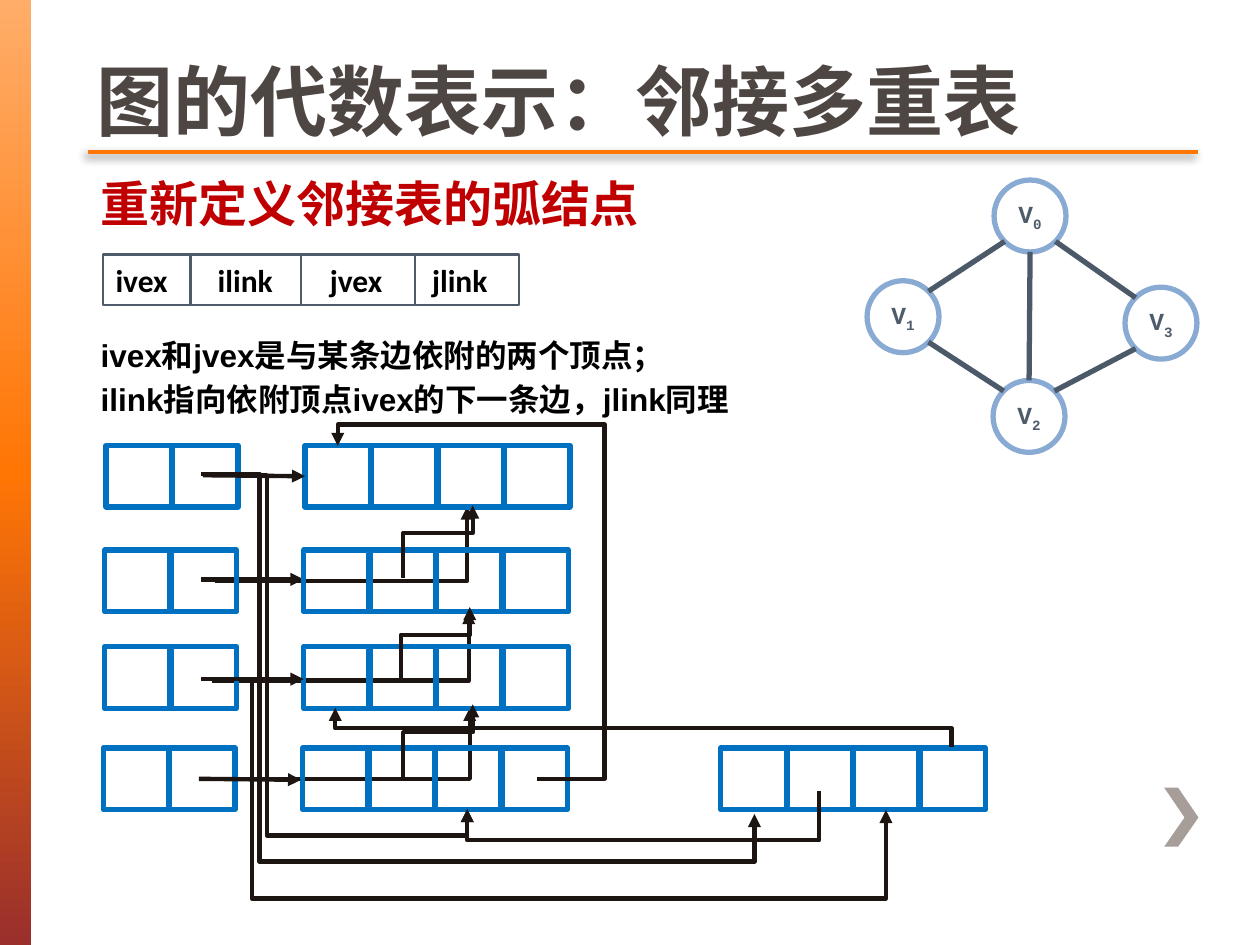
import copy
import math

import pptx
import pptx.dml.color
import pptx.enum.shapes
import pptx.enum.text
import pptx.oxml
import pptx.oxml.ns
import pptx.util

Cm, Pt = pptx.util.Cm, pptx.util.Pt
Kind = pptx.enum.shapes.MSO_SHAPE
Anchor = pptx.enum.text.MSO_ANCHOR
qn = pptx.oxml.ns.qn
CJK = "Noto Sans CJK SC"
SLATE, BLUE, INK, ORANGE = "4D5B6B", "0070C0", "1C1511", "FF7605"

# Content; every length is in centimetres
TITLE = "图的代数表示：邻接多重表"
HEADING = "重新定义邻接表的弧结点"
NOTES = ["ivex和jvex是与某条边依附的两个顶点；",
         "ilink指向依附顶点ivex的下一条边，jlink同理"]
FIELDS = ["ivex", "ilink", "jvex", "jlink"]
FIELD_TABS = [2.06, 4.32, 6.38]
FIELD_DIVIDERS = [3.84, 6.07, 8.36]
SIDE_GRADIENT = [(0, "FFAD69"), (0.5, ORANGE), (1, "9A2F2C")]

VERTEX_SIZE = 1.45
VERTICES = {"0": (20.04, 3.63), "1": (17.48, 5.66),
            "3": (22.68, 5.79), "2": (20.02, 7.67)}
EDGES = [("0", "2"), ("0", "1"), ("0", "3"), ("2", "1"), ("3", "2")]

CELL_WIDTH, CELL_HEIGHT, CELL_STEP = 1.32, 1.24, 1.34
CELL_RUNS = [  # left, top, number of cells
    (2.14, 8.98, 2), (6.15, 8.98, 4),
    (2.11, 11.09, 2), (6.12, 11.09, 4),
    (2.11, 13.04, 2), (6.12, 13.04, 4),
    (2.08, 15.08, 2), (6.1, 15.08, 4), (14.53, 15.08, 4)]

ROUTES_BEHIND = [
    [(4.27, 15.7), (9.47, 15.7), (9.47, 14.27)],
    [(4.27, 13.72), (9.45, 13.72), (9.45, 12.32)],
    [(4.34, 11.71), (9.42, 11.71), (9.42, 10.21)],
    [(4.06, 11.68), (6.12, 11.68)]]
ROUTES_FRONT = [
    [(4.09, 9.58), (6.15, 9.6)],
    [(4.06, 13.69), (6.12, 13.69)],
    [(4.01, 15.7), (6.07, 15.72)],
    [(10.82, 15.7), (12.19, 15.7), (12.19, 8.56), (6.81, 8.56), (6.81, 8.99)],
    [(8.08, 13.72), (8.08, 12.8), (9.47, 12.8), (9.47, 12.24)],
    [(8.13, 11.66), (8.13, 10.74), (9.53, 10.74), (9.53, 10.19)],
    [(8.13, 15.67), (8.13, 14.76), (9.53, 14.76), (9.53, 14.2)],
    [(4.27, 9.58), (5.38, 9.58), (5.38, 16.84), (9.42, 16.84), (9.42, 16.31)],
    [(16.51, 15.95), (16.51, 16.94), (9.42, 16.94), (9.42, 16.31)],
    [(4.06, 9.55), (5.23, 9.55), (5.23, 17.37), (15.21, 17.37), (15.21, 16.41)],
    [(19.18, 15.06), (19.18, 14.68), (6.76, 14.68), (6.76, 14.27)],
    [(4.29, 13.69), (5.08, 13.69), (5.08, 18.11), (17.86, 18.11), (17.86, 16.33)]]
CHEVRON = [(23.75, 15.88), (23.47, 15.88), (23.88, 16.48),
           (23.47, 17.07), (23.75, 17.07), (24.16, 16.48)]


def rgb(value):
    return pptx.dml.color.RGBColor.from_string(value)


def xml(text):
    start, rest = text.split(" ", 1) if " " in text else (text[:-2], "/>")
    return pptx.oxml.parse_xml(f"{start} {pptx.oxml.ns.nsdecls('a')} {rest}")


def style(shape, fill=None, line=None, width=1.0):
    shape.shadow.inherit = False
    if fill:
        shape.fill.solid()
        shape.fill.fore_color.rgb = rgb(fill)
    else:
        shape.fill.background()
    if line:
        shape.line.color.rgb = rgb(line)
        shape.line.width = Pt(width)
    else:
        shape.line.fill.background()


def add_box(kind, left, top, width, height, *look):
    shape = slide.shapes.add_shape(kind, Cm(left), Cm(top), Cm(width), Cm(height))
    style(shape, *look)
    return shape


def add_line(start, end, color, width):
    line = slide.shapes.add_connector(
        pptx.enum.shapes.MSO_CONNECTOR.STRAIGHT,
        *(Cm(value) for value in (*start, *end)))
    line.line.color.rgb = rgb(color)
    line.line.width = Pt(width)
    line._element.spPr.append(xml("<a:effectLst/>"))
    return line


def add_outline(points, closed):
    builder = slide.shapes.build_freeform(
        *(Cm(value) for value in points[0]), scale=1.0)
    builder.add_line_segments([(Cm(x), Cm(y)) for x, y in points[1:]], close=closed)
    return builder.convert_to_shape()


def add_arrow(points):
    if len(points) == 2:
        shape = add_line(*points, INK, 2.5)
    else:
        shape = add_outline(points, False)
        style(shape, None, INK, 2.5)
    shape.line._get_or_add_ln().append(xml('<a:tailEnd type="triangle"/>'))


def add_run(paragraph, text, size, color, font):
    run = paragraph.add_run()
    run.text = text
    run.font.size = Pt(size)
    run.font.bold = True
    run.font.name = font
    run.font.color.rgb = rgb(color)
    run._r.get_or_add_rPr().append(xml(f'<a:ea typeface="{CJK}"/>'))
    return run


def add_text(left, top, width, height, lines, size, color, font, spacing=None):
    box = slide.shapes.add_textbox(Cm(left), Cm(top), Cm(width), Cm(height))
    frame = box.text_frame
    frame.word_wrap = True
    for index, text in enumerate(lines):
        paragraph = frame.add_paragraph() if index else frame.paragraphs[0]
        if spacing:
            paragraph.line_spacing = Pt(spacing)
        add_run(paragraph, text, size, color, font)
    return frame


presentation = pptx.Presentation()
presentation.slide_width, presentation.slide_height = Cm(25.4), Cm(19.05)
slide = presentation.slides.add_slide(presentation.slide_layouts[6])

# Side bar, chevron and rule under the title
bar = add_box(Kind.RECTANGLE, 0, 0, 0.63, 19.05)
bar.fill.gradient()
bar.fill.gradient_angle = 270
stop_list = bar._element.spPr.find(".//" + qn("a:gsLst"))
stop_list.append(copy.deepcopy(stop_list[-1]))
for stop, (position, color) in zip(bar.fill.gradient_stops, SIDE_GRADIENT):
    stop.position = position
    stop.color.rgb = rgb(color)
style(add_outline(CHEVRON, True), "A79D99")
rule = add_line((1.78, 3.07), (24.16, 3.07), ORANGE, 2.5)
rule._element.spPr.find(qn("a:effectLst")).append(xml(
    '<a:outerShdw blurRad="63500" dist="38100" dir="8100000" rotWithShape="0">'
    '<a:srgbClr val="000000"><a:alpha val="45000"/></a:srgbClr></a:outerShdw>'))

# Arrows that pass behind the cells
for route in ROUTES_BEHIND:
    add_arrow(route)

# Texts
title = add_text(1.7, 0.2, 22.38, 2.87, [TITLE], 44, "4D4643", CJK)
title.vertical_anchor = Anchor.BOTTOM
add_text(1.78, 3.38, 15, 1.7, [HEADING], 28, "C00000", "Arial")
add_text(1.78, 6.53, 15.5, 2, NOTES, 18, "000000", "Arial", 25)

# Undirected graph
for number, (left, top) in VERTICES.items():
    vertex = add_box(Kind.OVAL, left, top, VERTEX_SIZE, VERTEX_SIZE,
                     "FFFFFF", "89AAD3", 3)
    frame = vertex.text_frame
    frame.word_wrap = False
    frame.vertical_anchor = Anchor.MIDDLE
    paragraph = frame.paragraphs[0]
    paragraph.alignment = pptx.enum.text.PP_ALIGN.CENTER
    add_run(paragraph, "V", 14, SLATE, "Courier New")
    subscript = add_run(paragraph, number, 14, SLATE, "Courier New")
    subscript._r.get_or_add_rPr().set("baseline", "-25000")


def rim_point(vertex, other):
    """Point on the rim facing the other vertex, in steps of 45 degrees."""
    (x, y), (other_x, other_y) = VERTICES[vertex], VERTICES[other]
    dx, dy = other_x - x, other_y - y
    side = 0 if abs(dx) < 0.1 else math.copysign(1, dx)
    reach = VERTEX_SIZE / 2 / math.hypot(side, 1)
    return (x + VERTEX_SIZE / 2 + side * reach,
            y + VERTEX_SIZE / 2 + math.copysign(reach, dy))


for first, second in EDGES:
    add_line(rim_point(first, second), rim_point(second, first), "4B5969", 3)

# Field strip of an edge node
strip = add_box(Kind.RECTANGLE, 2.08, 5.13, 8.38, 1.02, "FFFFFF", SLATE, 1.25)
strip.text_frame.vertical_anchor = Anchor.MIDDLE
paragraph = strip.text_frame.paragraphs[0]
paragraph.alignment = pptx.enum.text.PP_ALIGN.LEFT
tabs = "".join(f'<a:tab pos="{Cm(tab)}" algn="l"/>' for tab in FIELD_TABS)
paragraph._p.get_or_add_pPr().append(xml(f"<a:tabLst >{tabs}</a:tabLst>"))
add_run(paragraph, "\t".join(FIELDS), 18, "000000", "Calibri")
for x in FIELD_DIVIDERS:
    add_line((x, 5.13), (x, 6.15), SLATE, 1.25)

# Vertex and edge nodes, then the arrows in front of them
for left, top, count in CELL_RUNS:
    for index in range(count):
        add_box(Kind.RECTANGLE, left + index * CELL_STEP, top,
                CELL_WIDTH, CELL_HEIGHT, None, BLUE, 3)
for route in ROUTES_FRONT:
    add_arrow(route)

presentation.save("out.pptx")
